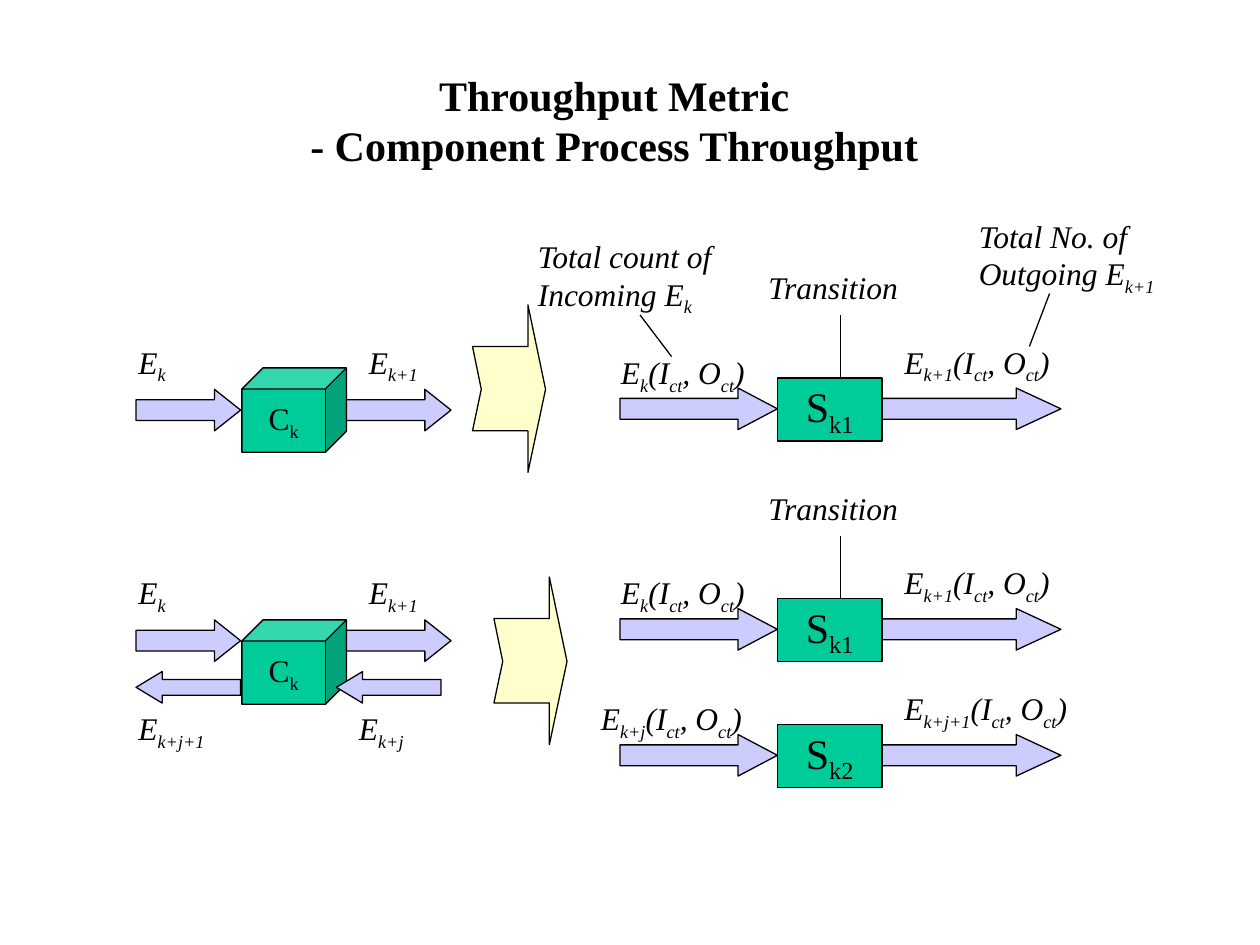
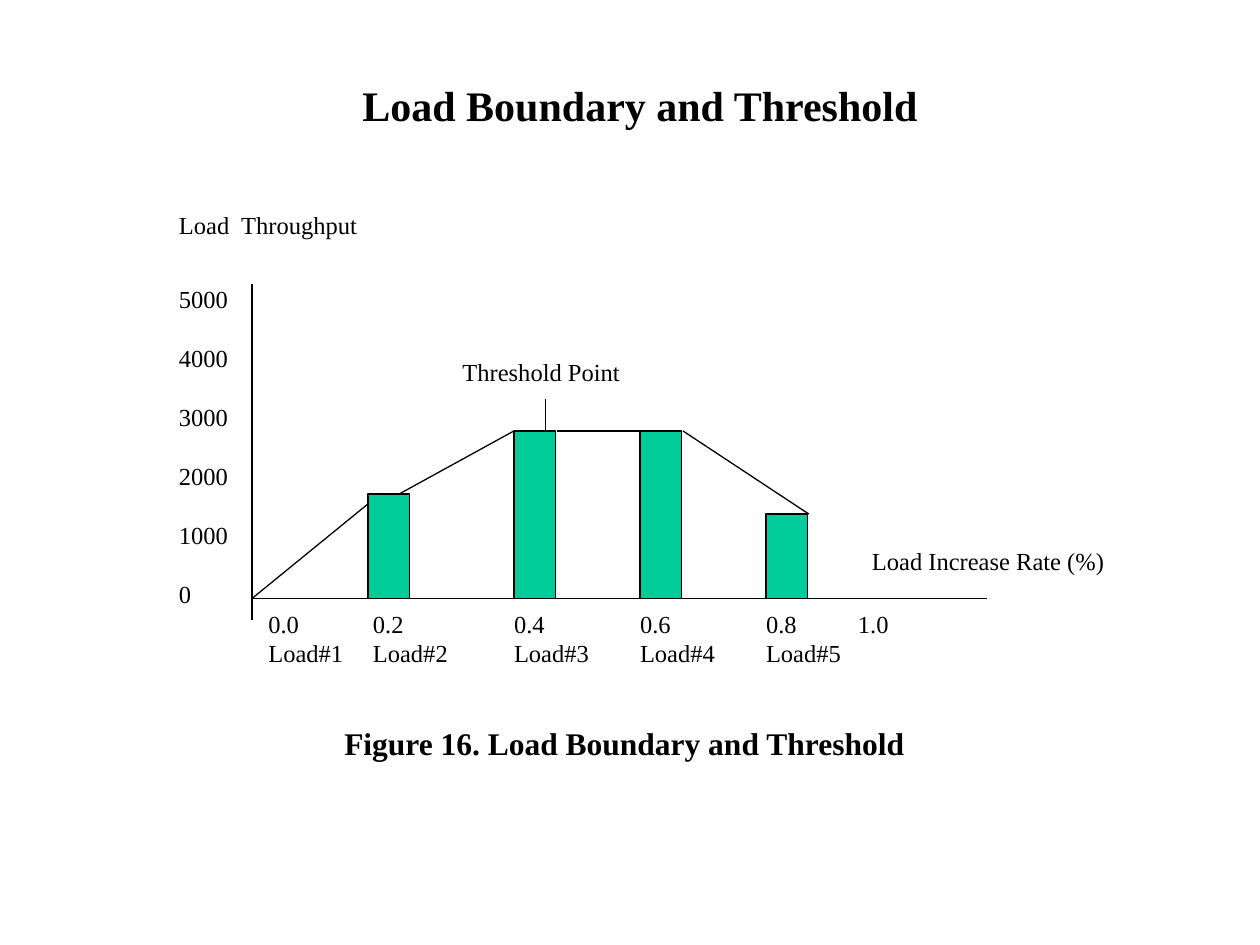
from lxml import etree
from pptx import Presentation
from pptx.dml.color import RGBColor
from pptx.enum.shapes import MSO_CONNECTOR, MSO_SHAPE
from pptx.enum.text import MSO_ANCHOR, PP_ALIGN
from pptx.oxml.ns import qn
from pptx.util import Inches, Pt

BLACK = RGBColor(0x00, 0x00, 0x00)
GREEN = RGBColor(0x00, 0xCC, 0x99)
LAVENDER = RGBColor(0xCC, 0xCC, 0xFF)
CREAM = RGBColor(0xFF, 0xFF, 0xCC)
FONT = "Times New Roman"
LEFT, CENTER = PP_ALIGN.LEFT, PP_ALIGN.CENTER
MIDDLE = MSO_ANCHOR.MIDDLE
CUBE, RECTANGLE = MSO_SHAPE.CUBE, MSO_SHAPE.RECTANGLE
RIGHT_ARROW, LEFT_ARROW = MSO_SHAPE.RIGHT_ARROW, MSO_SHAPE.LEFT_ARROW
STRAIGHT = MSO_CONNECTOR.STRAIGHT
COUNTS = "(I|ct|, O|ct|)"


def write(frame, text, size, align=LEFT, bold=False, italic=False):
    """Write lines of text in which every second part between bars is a subscript."""
    for index, line in enumerate(text.split("\n")):
        para = frame.add_paragraph() if index else frame.paragraphs[0]
        para.alignment = align
        for number, part in enumerate(line.split("|")):
            if not part:
                continue
            span = para.add_run()
            span.text = part
            font = span.font
            font.name, font.size = FONT, Pt(size)
            font.bold, font.italic = bold, italic
            font.color.rgb = BLACK
            if number % 2:
                span._r.get_or_add_rPr().set("baseline", "-25000")


def add_text(page, x, y, width, height, text, size, inset=True, **style):
    """Add a wrapping text box and return its text frame."""
    box = page.shapes.add_textbox(Inches(x), Inches(y), Inches(width), Inches(height))
    frame = box.text_frame
    frame.word_wrap = True
    if not inset:
        frame.margin_left = frame.margin_right = 0
        frame.margin_top = frame.margin_bottom = 0
    write(frame, text, size, **style)
    return frame


def add_label(page, x, y, width, text, height=0.44):
    """Add an italic event label."""
    add_text(page, x, y, width, height, text, 18, italic=True)


def add_title(page, x, y, width, height, text):
    """Add the bold centred slide title."""
    add_text(page, x, y, width, height, text, 24, align=CENTER, bold=True)


def paint(shape, color):
    """Give a shape a flat fill and a thin black outline."""
    shape.shadow.inherit = False
    shape.fill.solid()
    shape.fill.fore_color.rgb = color
    shape.line.color.rgb = BLACK
    shape.line.width = Pt(0.75)


def add_block(page, kind, x, y, width, height, text="", size=18):
    """Add a green block with an optional centred caption."""
    block = page.shapes.add_shape(kind, Inches(x), Inches(y), Inches(width), Inches(height))
    paint(block, GREEN)
    if text:
        frame = block.text_frame
        frame.word_wrap = False
        frame.vertical_anchor = MIDDLE
        write(frame, text, size, align=CENTER)


def add_arrow(page, x, y, width, height=0.33, kind=RIGHT_ARROW):
    """Add a block arrow whose head takes a quarter of its width."""
    arrow = page.shapes.add_shape(kind, Inches(x), Inches(y), Inches(width), Inches(height))
    arrow.adjustments[1] = width / 4 / height
    paint(arrow, LAVENDER)


def add_line(page, start, end):
    """Add a thin black line between two points."""
    line = page.shapes.add_connector(STRAIGHT, *(Inches(value) for value in start + end))
    line.line.color.rgb = BLACK
    line.line.width = Pt(0.75)
    etree.SubElement(line._element.spPr, qn("a:effectLst"))


def add_component(page, x, y, cube_drop, reverse=False):
    """Draw component C with its event flows, and the return flows if wanted."""
    add_block(page, CUBE, x + 0.92, y + cube_drop, 0.83, 0.67, "C|k")
    for arrow_x, label_x, event in ((0.08, 0, "E|k"), (1.75, 1.83, "E|k+1")):
        add_arrow(page, x + arrow_x, y + 0.42, 0.83)
        add_label(page, x + label_x, y, 0.67, event)
    if reverse:
        for arrow_x, label_x, event in ((0.08, 0, "E|k+j+1"), (1.67, 1.75, "E|k+j")):
            add_arrow(page, x + arrow_x, y + 0.83, 0.83, 0.25, LEFT_ARROW)
            add_label(page, x + label_x, y + 1.08, 0.92, event)


def add_chevron(page, x, y):
    """Draw the large notched arrow between the two models."""
    outline = [(0, 0.33), (0.44, 0.33), (0.44, 0), (0.58, 0.67),
               (0.44, 1.33), (0.44, 1), (0, 1), (0.07, 0.67)]
    points = [(Inches(x + dx), Inches(y + dy)) for dx, dy in outline]
    builder = page.shapes.build_freeform(*points[0])
    builder.add_line_segments(points[1:], close=True)
    paint(builder.convert_to_shape(), CREAM)


def add_process(page, x, y, state, incoming, outgoing, label_shift=0.16, transition=True):
    """Draw a state box with counted incoming and outgoing events."""
    add_arrow(page, x + 0.25, y, 1.25)
    add_arrow(page, x + 2.33, y, 1.42)
    add_label(page, x + label_shift, y - 0.33, 1.42, f"E|{incoming}|{COUNTS}")
    add_label(page, x + 2.41, y - 0.41, 1.67, f"E|{outgoing}|{COUNTS}")
    add_block(page, RECTANGLE, x + 1.5, y - 0.08, 0.83, 0.5, f"S|{state}", 24)
    if transition:
        add_line(page, (x + 2, y - 0.58), (x + 2, y - 0.08))
        add_label(page, x + 1.33, y - 1, 1.42, "Transition", 0.4)


def build_throughput(page):
    """Build the slide on component process throughput."""
    add_title(page, 1.25, 0.5, 7.25, 0.9, "Throughput Metric\n- Component Process Throughput")
    add_component(page, 1, 2.67, 0.25)
    add_component(page, 1, 4.5, 0.42, reverse=True)
    add_chevron(page, 3.75, 2.42)
    add_chevron(page, 3.92, 4.58)
    for y in (3.08, 4.83):
        add_process(page, 4.67, y, "k1", "k", "k+1")
    add_process(page, 4.67, 5.83, "k2", "k+j", "k+j+1", label_shift=0, transition=False)
    add_label(page, 4.17, 1.83, 1.75, "Total count of Incoming E|k", 0.74)
    add_line(page, (5.08, 2.5), (5.33, 2.83))
    add_label(page, 7.67, 1.67, 1.67, "Total No. of Outgoing E|k+1", 0.74)
    add_line(page, (8.33, 2.33), (8.17, 2.75))


def add_load_plot(page, x, y):
    """Draw the load bars, trend and axes from the given axis origin."""
    add_line(page, (x, y - 2.5), (x, y + 0.17))
    add_line(page, (x, y), (x + 5.83, y))
    for left, height in ((0.92, 0.83), (2.08, 1.33), (3.08, 1.33), (4.08, 0.67)):
        add_block(page, RECTANGLE, x + left, y - height, 0.33, height)
    trend = [(0, 0, 0.92, 0.75), (1.17, 0.83, 2.08, 1.33),
             (2.42, 1.33, 3.17, 1.33), (3.42, 1.33, 4.42, 0.67)]
    threshold = (2.33, 1.58, 2.33, 1.33)
    for left, start, right, end in trend + [threshold]:
        add_line(page, (x + left, y - start), (x + right, y - end))


def add_load_labels(page, x, y):
    """Label the axes around the given axis origin."""
    captions = [(-0.58, -3.08, 1.58, "Load  Throughput"),
                (1.67, -1.92, 1.42, "Threshold Point"),
                (4.92, -0.42, 2.08, "Load Increase Rate (%)")]
    for left, top, width, text in captions:
        add_text(page, x + left, y + top, width, 0.33, text, 14, inset=False)

    ticks = "\n".join(str(value) for value in range(5000, -1, -1000))
    frame = add_text(page, x - 0.58, y - 2.5, 0.5, 2.58, ticks, 14, inset=False)
    for para in frame.paragraphs:
        para.space_after = Pt(17)

    rates = "\t".join(f"{step / 5:.1f}" for step in range(6))
    loads = "\t".join(f"Load#{number}" for number in range(1, 6))
    frame = add_text(page, x + 0.13, y + 0.08, 5.37, 0.58, f"{rates}\n{loads}", 14, inset=False)
    for para in frame.paragraphs:
        stops = etree.SubElement(para._p.get_or_add_pPr(), qn("a:tabLst"))
        for stop in (0.83, 1.95, 2.95, 3.95, 4.68):
            etree.SubElement(stops, qn("a:tab"), pos=str(Inches(stop)), algn="l")


def build_threshold(page):
    """Build the slide on load boundary and threshold."""
    add_title(page, 1.58, 0.58, 7, 0.5, "Load Boundary and Threshold")
    add_load_labels(page, 2, 4.75)
    add_load_plot(page, 2, 4.75)
    add_text(page, 2.33, 5.75, 5.25, 0.33, "Figure 16. Load Boundary and Threshold", 18,
             inset=False, align=CENTER, bold=True)


def main():
    """Build and save the deck."""
    deck = Presentation()
    deck.slide_width, deck.slide_height = Inches(10), Inches(7.5)
    for build in (build_throughput, build_threshold):
        build(deck.slides.add_slide(deck.slide_layouts[6]))
    deck.save("out.pptx")


if __name__ == "__main__":
    main()
